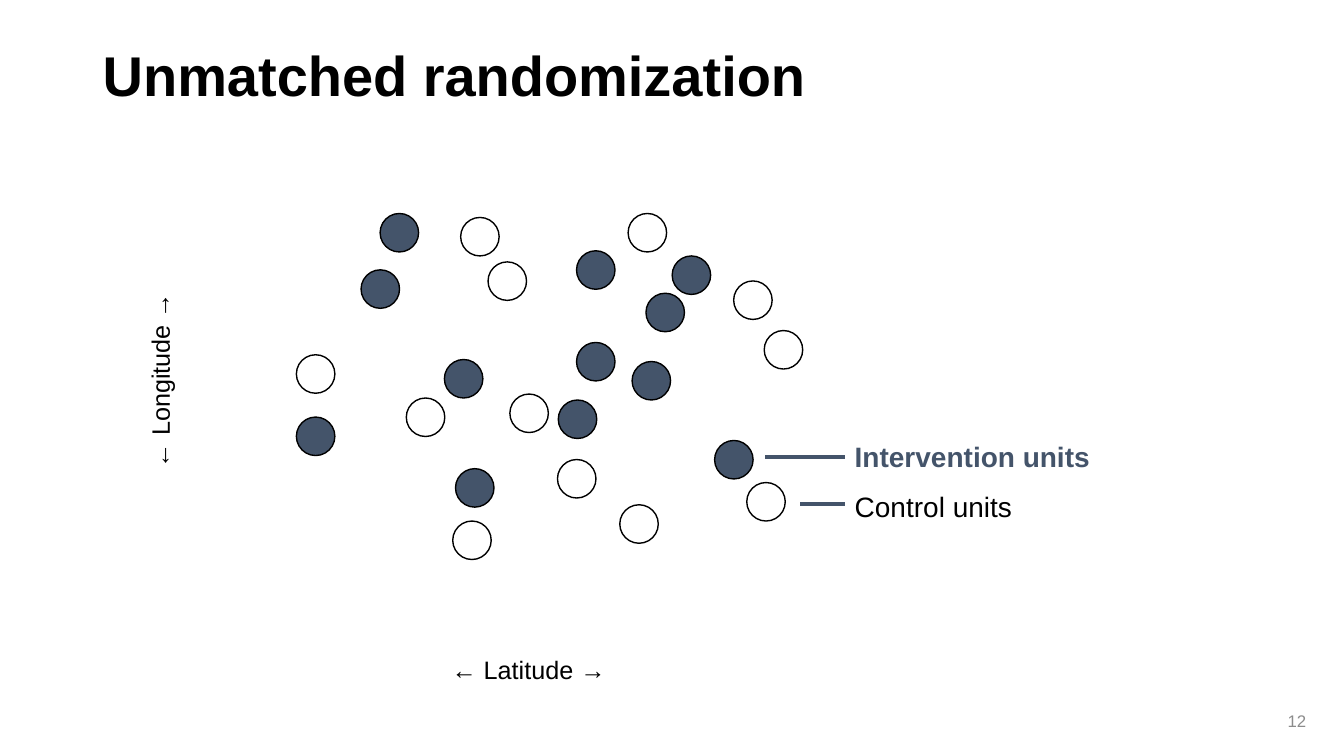
from pptx import Presentation
from pptx.dml.color import RGBColor
from pptx.enum.shapes import MSO_CONNECTOR, MSO_SHAPE
from pptx.enum.text import MSO_ANCHOR, PP_ALIGN
from pptx.oxml.ns import qn
from pptx.util import Cm, Pt
from lxml import etree

OVAL = MSO_SHAPE.OVAL
STRAIGHT = MSO_CONNECTOR.STRAIGHT
MIDDLE, TOP = MSO_ANCHOR.MIDDLE, MSO_ANCHOR.TOP
LEFT, RIGHT = PP_ALIGN.LEFT, PP_ALIGN.RIGHT

BLACK, SLATE, GREY = "000000", "44546A", "8C8C8C"
UNIT_SIZE = 0.97

# Offsets in cm of each unit from the top left corner of the map
INTERVENTION_UNITS = [
    (2.11, 0), (1.63, 1.42), (7.06, 0.94), (7.06, 3.25), (8.46, 3.73), (3.73, 3.68),
    (10.54, 5.72), (4.01, 6.43), (8.81, 2.01), (9.47, 1.07), (0, 5.13), (6.6, 4.7),
]
CONTROL_UNITS = [
    (8.36, 0), (11.02, 1.7), (11.79, 2.95), (2.77, 4.65), (6.58, 6.2), (8.15, 7.34),
    (11.35, 6.78), (3.94, 7.75), (4.83, 1.22), (4.14, 0.1), (0, 3.56), (5.38, 4.55),
]

# Label, top of the label, start and height of its line, label width, font
LEGEND = [
    ("Intervention units", 0, 0, 0.56, 6.48, {"bold": True, "color": SLATE}),
    ("Control units", 1.27, 0.89, 1.75, 4.52, {}),
]


def rgb(color):
    return RGBColor.from_string(color)


def add_text(slide, text, box, font, wrap=False, anchor=TOP, align=LEFT, line_spacing=None):
    shape = slide.shapes.add_textbox(*map(Cm, box))
    frame = shape.text_frame
    frame.word_wrap = wrap
    frame.vertical_anchor = anchor
    paragraph = frame.paragraphs[0]
    paragraph.alignment = align
    paragraph.line_spacing = line_spacing
    run = paragraph.add_run()
    run.text = text
    formats = {"name": "Arial", "bold": False, "color": BLACK, **font}
    run.font.color.rgb = rgb(formats.pop("color"))
    formats["size"] = Pt(formats["size"])
    for attribute, value in formats.items():
        setattr(run.font, attribute, value)
    return shape


def add_line(slide, left, right, y):
    connector = slide.shapes.add_connector(STRAIGHT, Cm(left), Cm(y), Cm(right), Cm(y))
    connector.line.color.rgb = rgb(SLATE)
    connector.line.width = Pt(3)
    properties = connector._element.find(qn("p:spPr"))
    etree.SubElement(properties, qn("a:effectLst"))


def add_unit(slide, left, top, fill):
    unit = slide.shapes.add_shape(OVAL, Cm(left), Cm(top), Cm(UNIT_SIZE), Cm(UNIT_SIZE))
    unit.shadow.inherit = False
    unit.line.color.rgb = rgb(BLACK)
    unit.line.width = Pt(1)
    if fill:
        unit.fill.solid()
        unit.fill.fore_color.rgb = rgb(fill)
    else:
        unit.fill.background()


def add_map(slide, left, top):
    for units, fill in ((INTERVENTION_UNITS, SLATE), (CONTROL_UNITS, None)):
        for x, y in units:
            add_unit(slide, left + x, top + y, fill)


def add_legend(slide, left, top):
    label_offset = 2.01
    for label, label_top, line_start, line_y, width, font in LEGEND:
        box = (left + label_offset, top + label_top, width, 1.12)
        add_text(slide, label, box, {"size": 20, **font})
        add_line(slide, left + line_start, left + label_offset, top + line_y)


def add_axis_label(slide, text, box, rotation=0):
    shape = add_text(slide, text, box, {"size": 18})
    shape.rotation = rotation


def main():
    presentation = Presentation()
    presentation.slide_width, presentation.slide_height = Cm(33.87), Cm(19.05)
    slide = presentation.slides.add_slide(presentation.slide_layouts[6])
    add_text(slide, "Unmatched randomization", (2.34, 1.02, 29.21, 1.93),
             {"size": 40, "bold": True}, wrap=True, anchor=MIDDLE, line_spacing=0.9)
    add_text(slide, "12", (25.55, 17.65, 7.62, 1.02), {"size": 12, "color": GREY},
             wrap=True, anchor=MIDDLE, align=RIGHT)
    add_map(slide, 7.47, 5.38)
    add_legend(slide, 19.28, 10.95)
    add_axis_label(slide, "← Latitude →", (11.13, 16.36, 4.39, 1.02))
    add_axis_label(slide, "← Longitude →", (1.57, 9.07, 4.93, 1.02), rotation=270)
    presentation.save("out.pptx")


if __name__ == "__main__":
    main()
